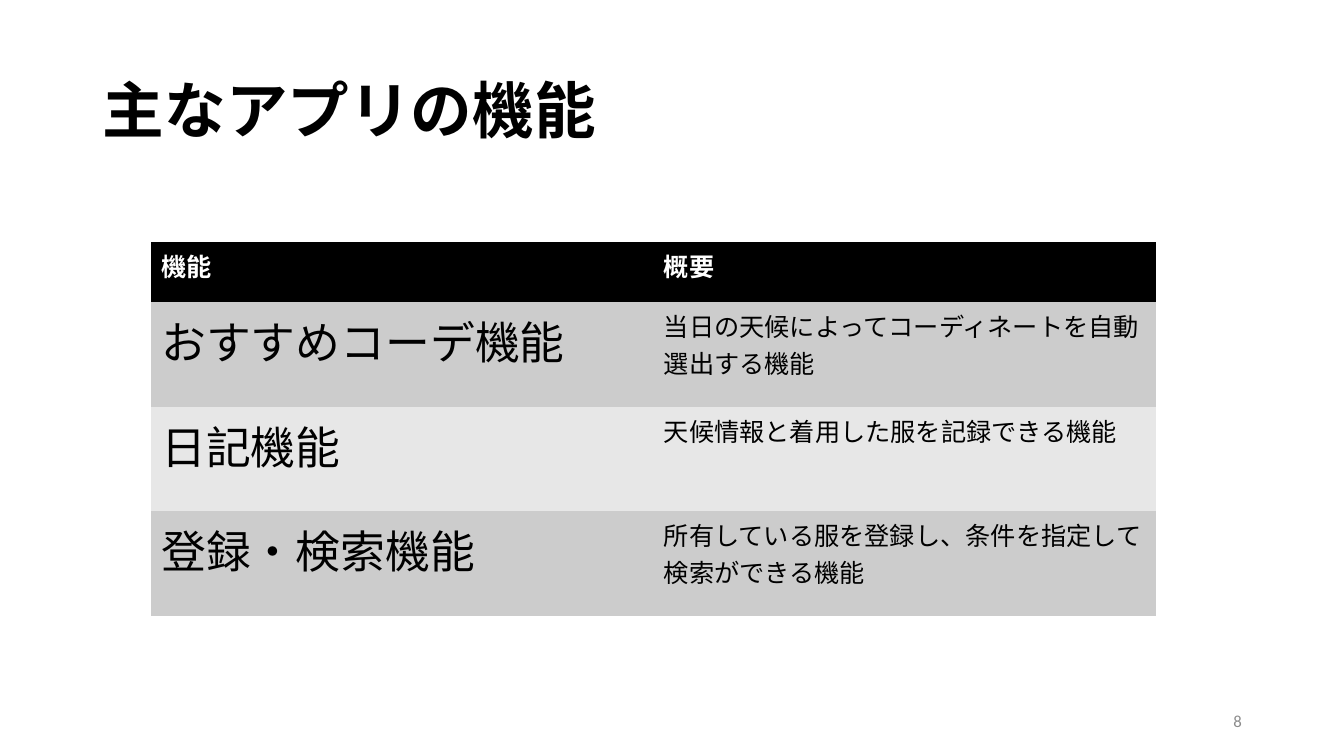
import pptx
import pptx.util
import pptx.dml.color
import pptx.enum.text

RGBColor = pptx.dml.color.RGBColor
Align = pptx.enum.text.PP_ALIGN
Anchor = pptx.enum.text.MSO_ANCHOR

BLACK = RGBColor(0x00, 0x00, 0x00)
WHITE = RGBColor(0xFF, 0xFF, 0xFF)
GRAY = RGBColor(0x8C, 0x8C, 0x8C)
BANDS = RGBColor(0xCC, 0xCC, 0xCC), RGBColor(0xE7, 0xE7, 0xE7)
PLAIN = "{2D5ABB26-0587-4C30-8999-92F81FD0307C}"

HEAD = "機能", "概要"
ROWS = [
    ("おすすめコーデ機能", "当日の天候によってコーディネートを自動選出する機能"),
    ("日記機能", "天候情報と着用した服を記録できる機能"),
    ("登録・検索機能", "所有している服を登録し、条件を指定して検索ができる機能"),
]


def write(frame, text, size=18, font="Calibri", color=BLACK, bold=False,
          align=Align.LEFT, anchor=Anchor.TOP, lead=None):
    frame.word_wrap = True
    frame.vertical_anchor = anchor
    para = frame.paragraphs[0]
    para.alignment = align
    para.line_spacing = lead
    run = para.add_run()
    run.text = text
    run.font.size = pptx.util.Pt(size)
    run.font.name = font
    run.font.bold = bold
    run.font.color.rgb = color


class Deck:
    def __init__(self):
        self.show = pptx.Presentation()
        self.show.slide_width = pptx.util.Inches(13.33)
        self.show.slide_height = pptx.util.Inches(7.5)
        self.slide = self.show.slides.add_slide(self.show.slide_layouts[5])

    def wide(self, share):
        return round(self.show.slide_width * share / 100)

    def high(self, share):
        return round(self.show.slide_height * share / 100)

    def box(self, left, top, width, height):
        return self.wide(left), self.high(top), self.wide(width), self.high(height)

    def title(self, text, *area):
        shape = self.slide.shapes.title
        shape.left, shape.top, shape.width, shape.height = self.box(*area)
        shape.text_frame.auto_size = pptx.enum.text.MSO_AUTO_SIZE.NONE
        write(shape.text_frame, text, size=44, font="Arial", bold=True,
              anchor=Anchor.MIDDLE, lead=0.9)

    def label(self, text, *area, **style):
        shape = self.slide.shapes.add_textbox(*self.box(*area))
        write(shape.text_frame, text, **style)

    def cell(self, cell, text, fill, **style):
        cell.fill.solid()
        cell.fill.fore_color.rgb = fill
        write(cell.text_frame, text, **style)

    def table(self, head, rows, left, top, width, first, rest):
        area = self.box(left, top, width, first + rest * len(rows))
        frame = self.slide.shapes.add_table(len(rows) + 1, len(head), *area)
        grid = frame.table
        grid._tbl.tblPr.find(pptx.oxml.ns.qn("a:tableStyleId")).text = PLAIN
        for i, row in enumerate(grid.rows):
            row.height = self.high(rest if i else first)
        for col, text in enumerate(head):
            self.cell(grid.cell(0, col), text, BLACK, color=WHITE, bold=True)
        for i, row in enumerate(rows):
            for col, (text, size) in enumerate(zip(row, (32, 18))):
                self.cell(grid.cell(i + 1, col), text, BANDS[i % 2], size=size)


def main():
    deck = Deck()
    deck.title("主なアプリの機能", 6.9, 5.33, 86.25, 19.33)
    deck.table(HEAD, ROWS, 11.25, 32, 74.8, 8, 13.83)
    deck.label("8", 70.65, 92.67, 22.5, 5.33, size=12, color=GRAY,
               align=Align.RIGHT, anchor=Anchor.MIDDLE)
    deck.show.save("out.pptx")


if __name__ == "__main__":
    main()
